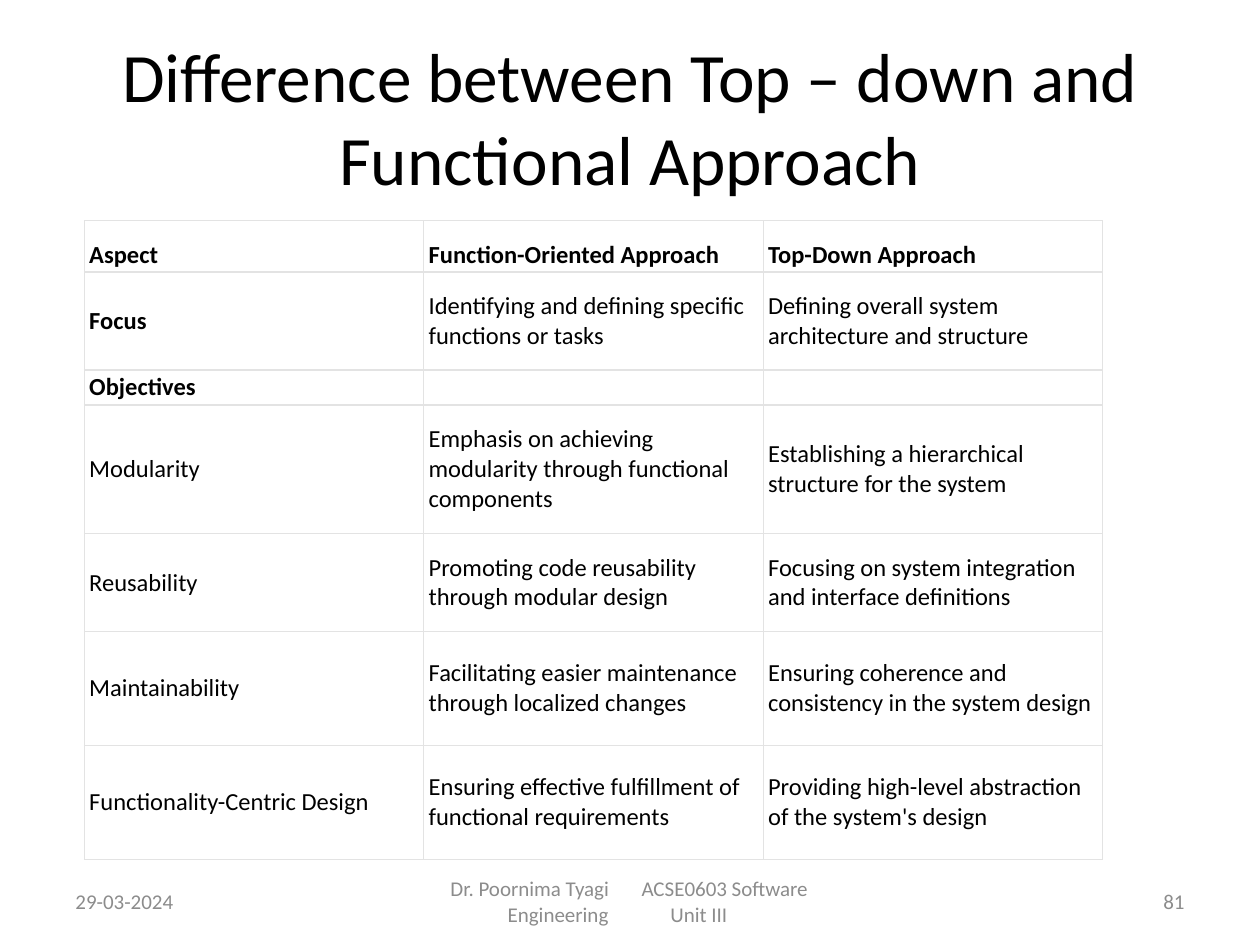
import pptx
import pptx.dml.color
import pptx.enum.text
import pptx.oxml
import pptx.oxml.ns
import pptx.util
from lxml import etree

Pt = pptx.util.Pt
ALIGN = pptx.enum.text.PP_ALIGN
ANCHOR = pptx.enum.text.MSO_ANCHOR
qn = pptx.oxml.ns.qn

BLACK = pptx.dml.color.RGBColor(0x00, 0x00, 0x00)
WHITE = pptx.dml.color.RGBColor(0xFF, 0xFF, 0xFF)
GREY = pptx.dml.color.RGBColor(0x8C, 0x8C, 0x8C)
BORDER = pptx.dml.color.RGBColor(0xE3, 0xE3, 0xE3)


def write(tf, text, size, color=BLACK, bold=False, align=ALIGN.LEFT,
          anchor=ANCHOR.MIDDLE, tabs=()):
    """Fill a text frame, one paragraph per line; tabs holds stops in points per line."""
    tf.word_wrap = True
    tf.vertical_anchor = anchor
    for i, line in enumerate(text.split("\n")):
        p = tf.paragraphs[0] if i == 0 else tf.add_paragraph()
        p.alignment = align
        if tabs:
            stops = etree.SubElement(p._p.get_or_add_pPr(), qn("a:tabLst"))
            for pos in tabs[i]:
                etree.SubElement(stops, qn("a:tab"), pos=str(Pt(pos)), algn="l")
        if not line:
            etree.SubElement(p._p, qn("a:endParaRPr"), sz=str(size * 100))
            continue
        r = p.add_run()
        r.text = line
        r.font.name = "Calibri"
        r.font.size = Pt(size)
        r.font.bold = bold
        r.font.color.rgb = color


def set_borders(cell, widths):
    """Draw left, right, top and bottom borders, given in points."""
    tcPr = cell._tc.get_or_add_tcPr()
    for i, (side, width) in enumerate(zip("LRTB", widths)):
        ln = etree.Element(qn(f"a:ln{side}"), w=str(Pt(width)))
        fill = etree.SubElement(ln, qn("a:solidFill"))
        etree.SubElement(fill, qn("a:srgbClr"), val=str(BORDER))
        tcPr.insert(i, ln)


prs = pptx.Presentation()
prs.slide_width, prs.slide_height = Pt(720), Pt(540)
s = prs.slides.add_slide(prs.slide_layouts[6])

title = s.shapes.add_textbox(Pt(36), Pt(21.6), Pt(648), Pt(90))
write(title.text_frame, "Difference between Top – down and Functional Approach",
      39.6, align=ALIGN.CENTER)

rows = [
    (29.5, "Aspect", "Function-Oriented Approach", "Top-Down Approach"),
    (56, "Focus", "Identifying and defining specific functions or tasks",
     "Defining overall system architecture and structure"),
    (20, "Objectives", "", ""),
    (73.5, "Modularity", "Emphasis on achieving modularity through functional components",
     "Establishing a hierarchical structure for the system"),
    (56, "Reusability", "Promoting code reusability through modular design",
     "Focusing on system integration and interface definitions"),
    (65, "Maintainability", "Facilitating easier maintenance through localized changes",
     "Ensuring coherence and consistency in the system design"),
    (65, "Functionality-Centric Design",
     "Ensuring effective fulfillment of functional requirements",
     "Providing high-level abstraction of the system's design"),
]
table = s.shapes.add_table(len(rows), 3, Pt(48.2), Pt(126), Pt(582),
                           Pt(sum(row[0] for row in rows))).table
table.first_row = table.horz_banding = False
for col in table.columns:
    col.width = Pt(194)
for i, (height, *texts) in enumerate(rows):
    table.rows[i].height = Pt(height)
    top = 0.5 if i == 0 else 1
    bottom = 0.5 if i == len(rows) - 1 else 1
    for j, text in enumerate(texts):
        cell = table.cell(i, j)
        cell.fill.solid()
        cell.fill.fore_color.rgb = WHITE
        set_borders(cell, (0.5, 0.5, top, bottom))
        cell.margin_left = cell.margin_right = Pt(2.8)
        cell.margin_top = cell.margin_bottom = Pt(1.4)
        bold = i == 0 or (j == 0 and text in ("Focus", "Objectives"))
        write(cell.text_frame, text, 14, bold=bold)
        cell.vertical_anchor = ANCHOR.BOTTOM if i == 0 else ANCHOR.MIDDLE

footers = [
    (36, 168, "29-03-2024", ALIGN.LEFT, ()),
    (246, 228, "\tDr. Poornima Tyagi\tACSE0603 Software\n\tEngineering\tUnit III",
     ALIGN.LEFT, ((4.3, 113.5), (37, 130))),
    (516, 168, "81", ALIGN.RIGHT, ()),
]
for left, width, text, align, tabs in footers:
    box = s.shapes.add_textbox(Pt(left), Pt(500.5), Pt(width), Pt(28.8))
    write(box.text_frame, text, 12, color=GREY, align=align, tabs=tabs)

prs.save("out.pptx")
